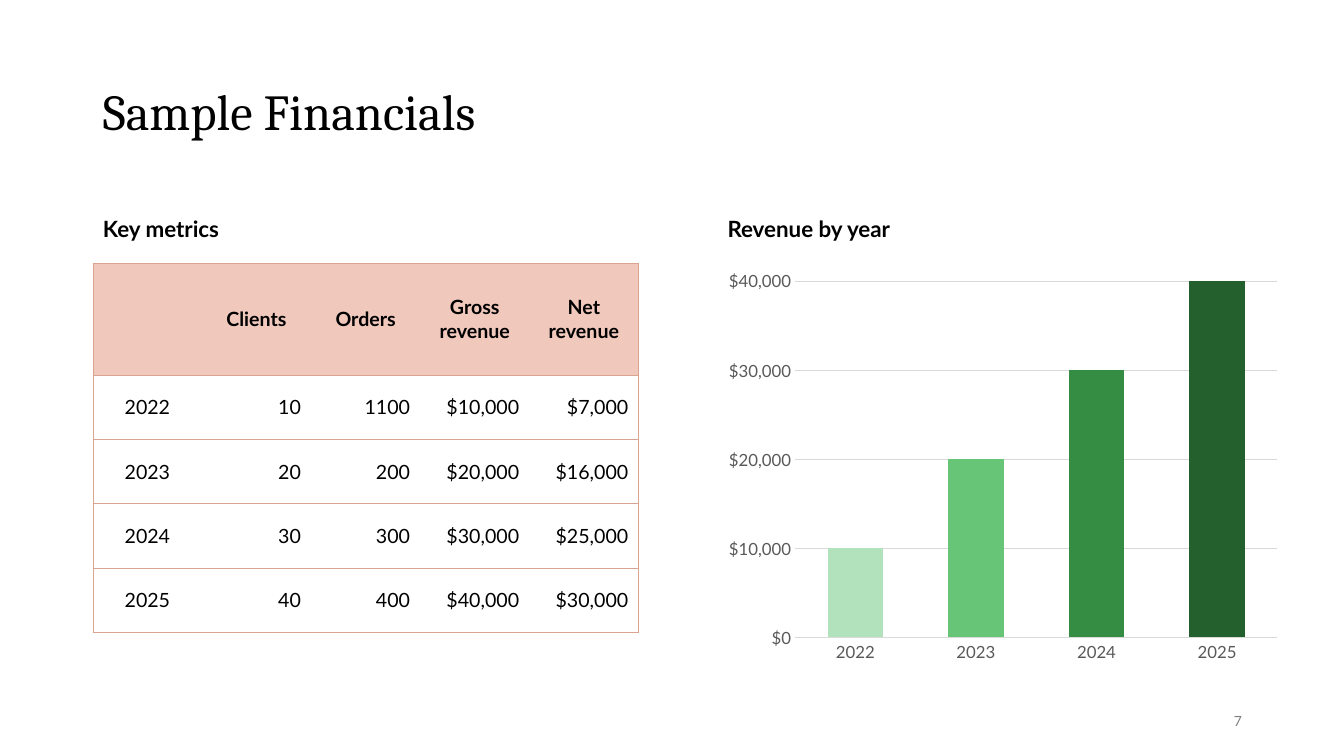
"""Build the sample financials slide with a metrics table and a revenue chart."""
from dataclasses import dataclass

import lxml.etree
import pptx
import pptx.chart.data
import pptx.dml.color
import pptx.enum.chart
import pptx.enum.text
import pptx.oxml.ns
import pptx.util

Cm = pptx.util.Cm
Pt = pptx.util.Pt
Align = pptx.enum.text.PP_ALIGN
Middle = pptx.enum.text.MSO_ANCHOR.MIDDLE

COLOURS = {
    "text": "000000", "axis": "595959", "grid": "D9D9D9", "number": "808080",
    "header": "F0C8BC", "border": "D9A491", "paper": "FFFFFF",
}
BAR_COLOURS = ["B2E2BB", "66C576", "358D44", "245F2E"]
BODY_FONT = "Lato"

METRICS = [
    ["", "Clients", "Orders", "Gross revenue", "Net revenue"],
    ["2022", "10", "1100", "$10,000", "$7,000"],
    ["2023", "20", "200", "$20,000", "$16,000"],
    ["2024", "30", "300", "$30,000", "$25,000"],
    ["2025", "40", "400", "$40,000", "$30,000"],
]
REVENUE = [10000, 20000, 30000, 40000]


@dataclass(frozen=True)
class Frame:
    left: float
    top: float
    width: float
    height: float

    def lengths(self) -> tuple:
        return tuple(Cm(v) for v in (self.left, self.top, self.width, self.height))


@dataclass(frozen=True)
class Label:
    text: str
    frame: Frame
    size: float
    font: str = BODY_FONT
    colour: str = COLOURS["text"]
    bold: bool = False
    align: Align = Align.LEFT
    line_spacing: float = 0.9


TITLE = Label("Sample Financials", Frame(2.34, 1.98, 29.21, 1.78), 36, "Cambria")
METRICS_HEADING = Label("Key metrics", Frame(2.34, 5.05, 14.33, 1.52), 16, bold=True)
REVENUE_HEADING = Label("Revenue by year", Frame(18.08, 5.05, 14.4, 1.52), 16, bold=True)
PAGE_NUMBER = Label("7", Frame(23.93, 17.65, 7.62, 1.02), 10,
                    colour=COLOURS["number"], align=Align.RIGHT, line_spacing=1.0)
TABLE_FRAME = Frame(2.34, 6.63, 13.75, 9.3)
CHART_FRAME = Frame(18.08, 6.63, 14.4, 10.24)
HEADER_HEIGHT, ROW_HEIGHT = 2.82, 1.62


def rgb(colour: str) -> pptx.dml.color.RGBColor:
    return pptx.dml.color.RGBColor.from_string(colour)


def style_font(font, size: float, colour: str, bold: bool = False,
               name: str = BODY_FONT) -> None:
    font.name = name
    font.size = Pt(size)
    font.bold = bold
    font.color.rgb = rgb(colour)


def fill_label(box, label: Label) -> None:
    box.left, box.top, box.width, box.height = label.frame.lengths()
    frame = box.text_frame
    frame.word_wrap = True
    frame.auto_size = pptx.enum.text.MSO_AUTO_SIZE.NONE
    frame.vertical_anchor = Middle
    frame.text = label.text
    para = frame.paragraphs[0]
    para.alignment = label.align
    para.line_spacing = label.line_spacing
    para.space_before = Pt(0)
    style_font(para.font, label.size, label.colour, label.bold, label.font)


def set_borders(cell, visible: dict[str, bool]) -> None:
    properties = cell._tc.get_or_add_tcPr()
    for position, (side, shown) in enumerate(visible.items()):
        line = lxml.etree.Element(pptx.oxml.ns.qn(f"a:ln{side}"), w=str(Pt(0.5)))
        kind = "a:solidFill" if shown else "a:noFill"
        fill = lxml.etree.SubElement(line, pptx.oxml.ns.qn(kind))
        if shown:
            lxml.etree.SubElement(fill, pptx.oxml.ns.qn("a:srgbClr"), val=COLOURS["border"])
        properties.insert(position, line)


def add_metrics(page) -> None:
    rows, columns = len(METRICS), len(METRICS[0])
    table = page.shapes.add_table(rows, columns, *TABLE_FRAME.lengths()).table
    table.horz_banding = False
    for column in table.columns:
        column.width = Cm(TABLE_FRAME.width / columns)
    for r, values in enumerate(METRICS):
        header = r == 0
        table.rows[r].height = Cm(HEADER_HEIGHT if header else ROW_HEIGHT)
        for c, value in enumerate(values):
            cell = table.cell(r, c)
            cell.text = value
            cell.vertical_anchor = Middle
            cell.fill.solid()
            cell.fill.fore_color.rgb = rgb(COLOURS["header" if header else "paper"])
            para = cell.text_frame.paragraphs[0]
            para.alignment = Align.CENTER if header or c == 0 else Align.RIGHT
            style_font(para.font, 14, COLOURS["text"], header)
            set_borders(cell, {"L": c == 0, "R": c == columns - 1, "T": True, "B": True})


def style_axis(axis) -> None:
    axis.major_tick_mark = axis.minor_tick_mark = pptx.enum.chart.XL_TICK_MARK.NONE
    style_font(axis.tick_labels.font, 12, COLOURS["axis"])


def style_line(line) -> None:
    line.color.rgb = rgb(COLOURS["grid"])
    line.width = Pt(0.75)


def add_revenue(page) -> None:
    data = pptx.chart.data.CategoryChartData()
    data.categories = [row[0] for row in METRICS[1:]]
    data.add_series("Series 1", REVENUE)
    chart = page.shapes.add_chart(
        pptx.enum.chart.XL_CHART_TYPE.COLUMN_CLUSTERED, *CHART_FRAME.lengths(), data).chart
    chart.has_legend = chart.has_title = False
    style_font(chart.font, 10, COLOURS["text"])

    style_axis(chart.category_axis)
    style_line(chart.category_axis.format.line)
    values = chart.value_axis
    style_axis(values)
    values.minimum_scale, values.maximum_scale, values.major_unit = 0, 40000, 10000
    values.format.line.fill.background()
    style_line(values.major_gridlines.format.line)
    values.tick_labels.number_format = "[$$-409]#,##0"
    values.tick_labels.number_format_is_linked = False

    plot = chart.plots[0]
    plot.vary_by_categories = False
    plot.gap_width, plot.overlap = 118, -3
    series = plot.series[0]
    series.format.fill.solid()
    series.format.fill.fore_color.rgb = rgb(COLOURS["border"])
    for index, colour in enumerate(BAR_COLOURS):
        fill = series.points[index].format.fill
        fill.solid()
        fill.fore_color.rgb = rgb(colour)


def main() -> None:
    deck = pptx.Presentation()
    deck.slide_width, deck.slide_height = Cm(33.87), Cm(19.05)
    page = deck.slides.add_slide(deck.slide_layouts.get_by_name("Comparison"))
    holders = {holder.placeholder_format.idx: holder for holder in page.placeholders}
    for index, label in {0: TITLE, 1: METRICS_HEADING, 3: REVENUE_HEADING}.items():
        fill_label(holders.pop(index), label)
    for unused in holders.values():
        unused.element.getparent().remove(unused.element)
    add_metrics(page)
    add_revenue(page)
    fill_label(page.shapes.add_textbox(*PAGE_NUMBER.frame.lengths()), PAGE_NUMBER)
    deck.save("out.pptx")


if __name__ == "__main__":
    main()
